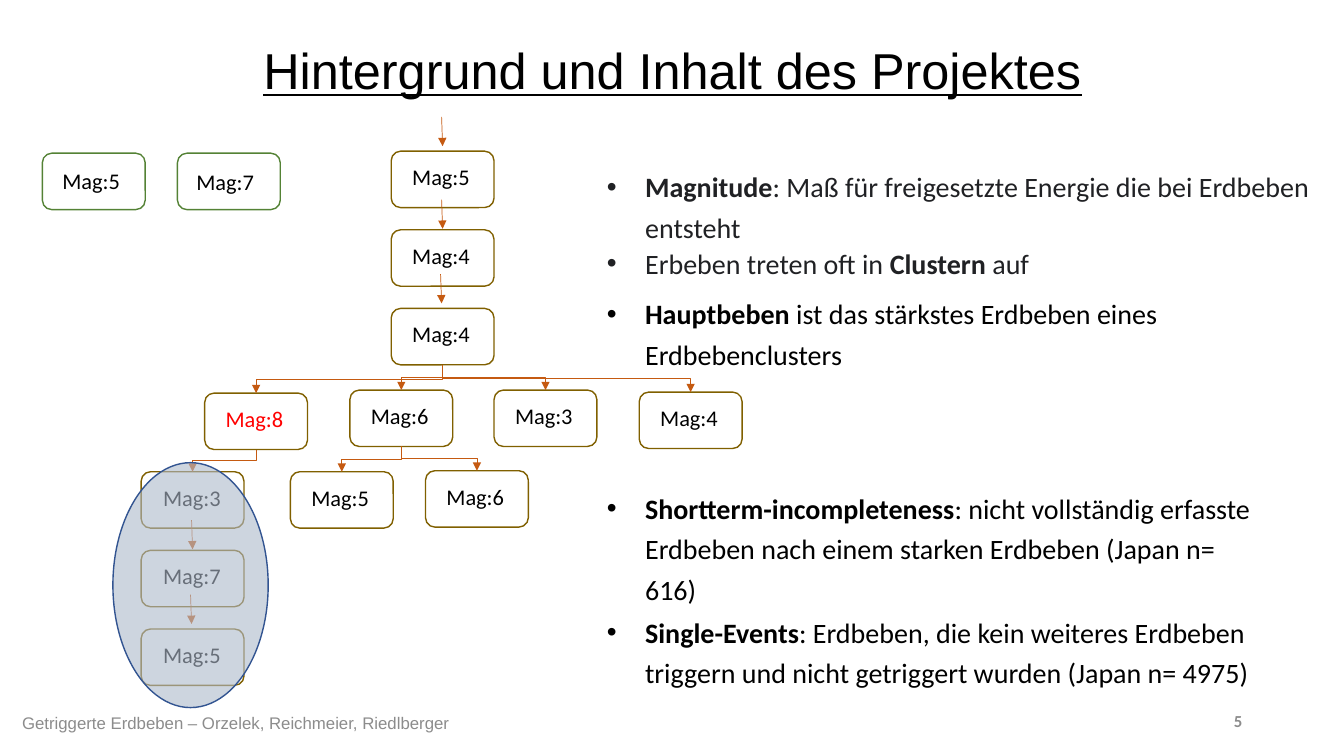
from typing import NamedTuple

from lxml.etree import SubElement
from pptx import Presentation
from pptx.dml.color import RGBColor
from pptx.enum.shapes import MSO_CONNECTOR as Conn, MSO_SHAPE as Shape
from pptx.enum.text import MSO_ANCHOR as Anchor, MSO_AUTO_SIZE as AutoSize, PP_ALIGN as Align
from pptx.oxml.ns import qn
from pptx.util import Inches, Pt

BLACK, DARK, GREY, RED = "000000", "202124", "8C8C8C", "FF0000"
BROWN, GREEN, ORANGE, BLUE = "806000", "548235", "C55A11", "325491"
BOX_W, BOX_H = 1.02, 0.56


class Quake(NamedTuple):
    x: float
    y: float
    mag: int
    color: str = BLACK
    line: str = BROWN
    dx: float = 0.11
    dy: float = 0.07


class Phrase(NamedTuple):
    text: str
    bold: bool = False


class Bullet(NamedTuple):
    y: float
    w: float
    h: float
    color: str
    phrases: list[Phrase]


def rgb(value: str) -> RGBColor:
    return RGBColor.from_string(value)


def add_text(shapes, x: float, y: float, w: float, h: float, anchor=Anchor.TOP):
    sp = shapes.add_textbox(Inches(x), Inches(y), Inches(w), Inches(h))
    tf = sp.text_frame
    tf.word_wrap = True
    tf.vertical_anchor = anchor
    tf.auto_size = AutoSize.SHAPE_TO_FIT_TEXT if anchor == Anchor.TOP else AutoSize.NONE
    return tf.paragraphs[0]


def add_run(p, text: str, size: int, color: str, font: str = "Calibri", bold: bool = False):
    r = p.add_run()
    r.text = text
    r.font.size = Pt(size)
    r.font.name = font
    r.font.bold = bold
    r.font.color.rgb = rgb(color)
    return r


def add_outline(shapes, kind, x: float, y: float, w: float, h: float, line: str):
    sp = shapes.add_shape(kind, Inches(x), Inches(y), Inches(w), Inches(h))
    sp.shadow.inherit = False
    sp.fill.background()
    sp.line.color.rgb = rgb(line)
    sp.line.width = Pt(1)
    return sp


def add_quake(quake: Quake) -> None:
    shapes = s.shapes.add_group_shape().shapes
    p = add_text(shapes, quake.x + quake.dx, quake.y + quake.dy, 0.8, 0.37)
    add_run(p, f"Mag:{quake.mag}", 16, quake.color)
    add_outline(shapes, Shape.ROUNDED_RECTANGLE, quake.x, quake.y, BOX_W, BOX_H, quake.line)


def add_arrow(kind, x1: float, y1: float, x2: float, y2: float):
    c = s.shapes.add_connector(kind, Inches(x1), Inches(y1), Inches(x2), Inches(y2))
    c.line.color.rgb = rgb(ORANGE)
    c.line.width = Pt(0.5)
    SubElement(c._element.spPr.find(qn("a:ln")), qn("a:tailEnd"), type="triangle")
    SubElement(c._element.spPr, qn("a:effectLst"))
    return c


def add_down_arrow(x: float, y: float) -> None:
    add_arrow(Conn.STRAIGHT, x, y, x + 0.01, y + 0.29)


def add_branch(parent: Quake, child: Quake) -> None:
    x1, y1 = parent.x + BOX_W / 2, parent.y + BOX_H
    x2, y2 = child.x + BOX_W / 2, child.y
    cx, cy = (x1 + x2) / 2, (y1 + y2) / 2
    half_w, half_h = (y2 - y1) / 2, abs(x2 - x1) / 2
    to_right = x2 > x1
    if to_right:
        half_w = -half_w
    c = add_arrow(Conn.ELBOW, cx - half_w, cy - half_h, cx + half_w, cy + half_h)
    c._element.spPr.xfrm.set("rot", str((270 if to_right else 90) * 60000))


def add_bullet(bullet: Bullet) -> None:
    p = add_text(s.shapes, 5.92, bullet.y, bullet.w, bullet.h)
    p.line_spacing = 1.2
    pPr = p._p.get_or_add_pPr()
    pPr.set("marL", str(Inches(0.38)))
    pPr.set("indent", str(Inches(-0.38)))
    SubElement(pPr, qn("a:buFont"), typeface="Arial")
    SubElement(pPr, qn("a:buChar"), char="•")
    for phrase in bullet.phrases:
        add_run(p, phrase.text, 20, bullet.color, bold=phrase.bold)


prs = Presentation()
prs.slide_width, prs.slide_height = Inches(13.33), Inches(7.5)
s = prs.slides.add_slide(prs.slide_layouts[6])

p = add_text(s.shapes, 0.09, 6.97, 4.5, 0.4, Anchor.MIDDLE)
p.alignment = Align.CENTER
add_run(p, "Getriggerte Erdbeben – Orzelek, Reichmeier, Riedlberger", 12, GREY, "Arial")

p = add_text(s.shapes, 9.42, 6.95, 3, 0.4, Anchor.MIDDLE)
p.alignment = Align.RIGHT
add_run(p, "5", 12, GREY, bold=True)

p = add_text(s.shapes, 0.92, 0, 11.5, 1.45, Anchor.MIDDLE)
p.alignment = Align.CENTER
p.line_spacing = 0.9
add_run(p, "Hintergrund und Inhalt des Projektes", 36, BLACK, "Arial").font.underline = True

trunk = [Quake(3.88, 1.5 + 0.78 * i, mag) for i, mag in enumerate((5, 4, 4))]
main_quake = Quake(2.03, 3.9, 8, RED)
middle = Quake(3.47, 3.87, 6)
siblings = [Quake(4.9, 3.87, 3), Quake(6.34, 3.89, 4), middle, main_quake]
middle_children = [Quake(2.88, 4.68, 5), Quake(4.22, 4.67, 6)]
hidden = [Quake(1.4, 4.68 + 0.78 * i, mag, dx=0.12) for i, mag in enumerate((3, 7, 5))]
singles = [
    Quake(1.76, 1.52, 7, line=GREEN, dx=0.09, dy=0.1),
    Quake(0.42, 1.52, 5, line=GREEN, dx=0.1, dy=0.09),
]

for quake in trunk + siblings + middle_children + hidden + singles:
    add_quake(quake)

for x, y in [(4.38, 1.16), (4.38, 1.98), (4.37, 2.72), (1.9, 5.16), (1.89, 5.9)]:
    add_down_arrow(x, y)

for parent, children in [
    (trunk[-1], siblings),
    (middle, middle_children),
    (main_quake, hidden[:1]),
]:
    for child in children:
        add_branch(parent, child)

ellipse = add_outline(s.shapes, Shape.OVAL, 1.12, 4.59, 1.54, 2.43, BLUE)
ellipse.fill.solid()
ellipse.fill.fore_color.rgb = rgb("ADB9CA")
fill_color = ellipse._element.spPr.find(qn("a:solidFill"))[0]
SubElement(fill_color, qn("a:alpha"), val="60000")

bullets = [
    Bullet(1.57, 7.34, 0.88, DARK, [
        Phrase("Magnitude", True),
        Phrase(": Maß für freigesetzte Energie die bei Erdbeben entsteht "),
    ]),
    Bullet(2.33, 6.73, 0.48, DARK, [
        Phrase("Erbeben treten oft in "), Phrase("Clustern", True), Phrase(" auf"),
    ]),
    Bullet(2.83, 6.73, 0.88, BLACK, [
        Phrase("Hauptbeben", True),
        Phrase(" ist das stärkstes Erdbeben eines Erdbebenclusters "),
    ]),
    Bullet(4.76, 6.73, 1.29, BLACK, [
        Phrase("Shortterm-incompleteness", True),
        Phrase(": nicht vollständig erfasste Erdbeben nach einem starken Erdbeben (Japan n= 616)"),
    ]),
    Bullet(5.99, 6.73, 0.88, BLACK, [
        Phrase("Single-Events", True),
        Phrase(": Erdbeben, die kein weiteres Erdbeben triggern und nicht getriggert wurden"
               " (Japan n= 4975)"),
    ]),
]
for bullet in bullets:
    add_bullet(bullet)

prs.save("out.pptx")
